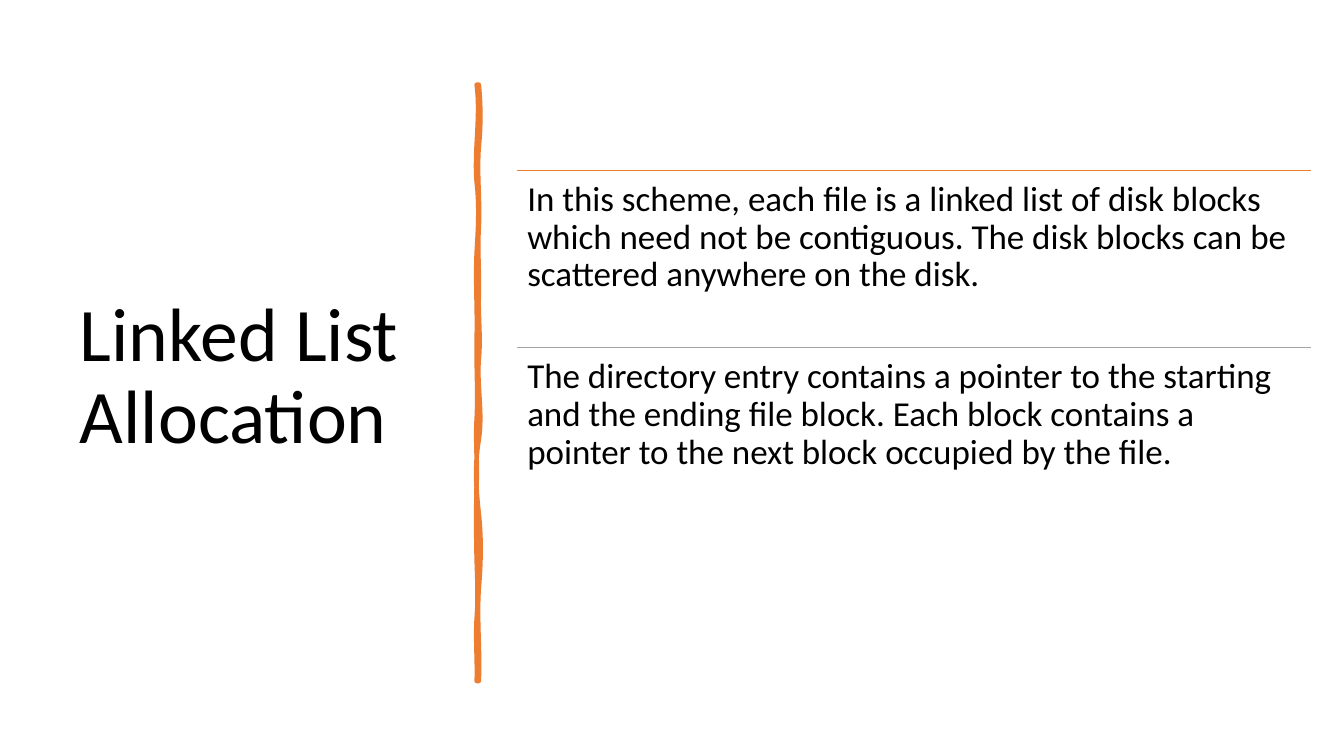
import pptx
import pptx.dml.color
import pptx.enum.shapes
import pptx.enum.text
import pptx.oxml.ns
import pptx.util
from lxml import etree

Pt = pptx.util.Pt
qn = pptx.oxml.ns.qn

TITLE = "Linked List Allocation"
ORANGE, GRAY, BLACK = "ED7D31", "A5A5A5", "000000"
POINTS = [
    (ORANGE, "In this scheme, each file is a linked list of disk blocks which need "
             "not be contiguous. The disk blocks can be scattered anywhere on the disk."),
    (GRAY, "The directory entry contains a pointer to the starting and the ending file "
           "block. Each block contains a pointer to the next block occupied by the file."),
]

TITLE_BOX = (49.9, 50.1, 269.5, 439.9)
LIST_LEFT, LIST_TOP, LIST_WIDTH, ROW_HEIGHT = 369.1, 121.8, 567.3, 126.6
BRUSH_RIGHT, BRUSH_LEFT = 342, 340.5
BRUSH_TOP, BRUSH_BOTTOM = 60.5, 486.5
BRUSH_LINE = 3.25

# Each knot is (y, lean): the edge passes through y, leaning sideways by lean.
# The right edge runs down, the left edge runs up.
STROKE_EDGES = (
    [(60.5, 1.5), (105, -1.5), (162.5, -1), (211.5, -0.5), (256.5, -1.5),
     (314, -3), (367, 2), (420.5, -1.5), (486.5, -1)],
    [(486.5, 0.5), (441.5, 1), (401, -0.5), (343.5, 0.5), (299, 1),
     (241, 0.5), (180, 1), (130.5, -2), (60.5, -3)],
)
FILL_EDGES = (
    [(60.5, 0), (109.5, 2), (150, 1), (211.5, 0.5), (260.5, 1.5),
     (309.5, -2), (371.5, 0), (416, 0.5), (486.5, 0.5)],
    [(486.5, -2), (441.5, -1), (388, -1.5), (339, -2), (278, -3),
     (216, -1), (171.5, 1), (118, -1), (60.5, -1.5)],
)


def color(value):
    return pptx.dml.color.RGBColor.from_string(value)


def add_path(path_list, size, edges, flag):
    """Add one closed curve through the knots, in the quarter-turned frame."""
    path = etree.SubElement(path_list, qn("a:path"), {**size, **flag})

    def command(name, *dots):
        parent = etree.SubElement(path, qn(name))
        for x, y in dots:
            etree.SubElement(parent, qn("a:pt"), x=str(int(Pt(y - BRUSH_TOP))),
                             y=str(int(Pt(BRUSH_RIGHT - x))))

    knots = [(x, y, lean) for x, edge in zip((BRUSH_RIGHT, BRUSH_LEFT), edges)
             for y, lean in edge]
    command("a:moveTo", knots[0][:2])
    for (x0, y0, lean0), (x1, y1, lean1) in zip(knots, knots[1:] + knots[:1]):
        third = (y1 - y0) / 3
        if not third:
            lean0 = lean1 = 0
        command("a:cubicBezTo", (x0 + lean0, y0 + third),
                (x1 - lean1, y1 - third), (x1, y1))
    etree.SubElement(path, qn("a:close"))


def add_brush(page):
    """Draw the hand-brushed divider as a flat shape turned upright."""
    length, width = BRUSH_BOTTOM - BRUSH_TOP, BRUSH_RIGHT - BRUSH_LEFT
    left = (BRUSH_LEFT + BRUSH_RIGHT - length) / 2
    top = (BRUSH_TOP + BRUSH_BOTTOM - width) / 2
    right, bottom = left + length, top + width
    builder = page.shapes.build_freeform(Pt(left), Pt(top))
    builder.add_line_segments([(Pt(right), Pt(top)), (Pt(right), Pt(bottom)),
                               (Pt(left), Pt(bottom))])
    brush = builder.convert_to_shape()
    brush.rotation = 90

    path_list = brush._element.spPr.find(".//" + qn("a:pathLst"))
    size = {"w": str(int(Pt(length))), "h": str(int(Pt(width)))}
    path_list.remove(path_list[0])
    add_path(path_list, size, STROKE_EDGES, {"fill": "none"})
    add_path(path_list, size, FILL_EDGES, {"stroke": "0"})

    brush.shadow.inherit = False
    brush.fill.solid()
    brush.fill.fore_color.rgb = color(ORANGE)
    brush.line.color.rgb = color(ORANGE)
    brush.line.width = Pt(BRUSH_LINE)


def add_rule(page, top, line_color):
    rule = page.shapes.add_connector(
        pptx.enum.shapes.MSO_CONNECTOR.STRAIGHT,
        Pt(LIST_LEFT), Pt(top), Pt(LIST_LEFT + LIST_WIDTH), Pt(top))
    rule.line.color.rgb = color(line_color)
    rule.line.width = Pt(1)
    etree.SubElement(rule._element.spPr, qn("a:effectLst"))


def write(box, text, size, frame_format):
    frame = box.text_frame
    frame.text = text
    frame.word_wrap = True
    frame.auto_size = pptx.enum.text.MSO_AUTO_SIZE.NONE
    for name, value in frame_format.items():
        setattr(frame, name, value)
    para = frame.paragraphs[0]
    para.alignment = pptx.enum.text.PP_ALIGN.LEFT
    para.line_spacing = 0.9
    font = para.runs[0].font
    for name, value in {"size": Pt(size), "name": "Calibri"}.items():
        setattr(font, name, value)
    font.color.rgb = color(BLACK)


def main():
    deck = pptx.Presentation()
    deck.slide_width, deck.slide_height = Pt(960), Pt(540)
    page = deck.slides.add_slide(deck.slide_layouts[5])

    title = page.shapes.title
    for name, value in zip(("left", "top", "width", "height"), TITLE_BOX):
        setattr(title, name, Pt(value))
    write(title, TITLE, 54, {"vertical_anchor": pptx.enum.text.MSO_ANCHOR.MIDDLE})

    add_brush(page)

    sides = ("margin_left", "margin_top", "margin_right", "margin_bottom")
    margins = dict.fromkeys(sides, Pt(7.5))
    for row, (line_color, text) in enumerate(POINTS):
        top = LIST_TOP + row * ROW_HEIGHT
        add_rule(page, top, line_color)
        box = page.shapes.add_textbox(Pt(LIST_LEFT), Pt(top), Pt(LIST_WIDTH), Pt(ROW_HEIGHT))
        write(box, text, 25, margins)

    deck.save("out.pptx")


if __name__ == "__main__":
    main()
